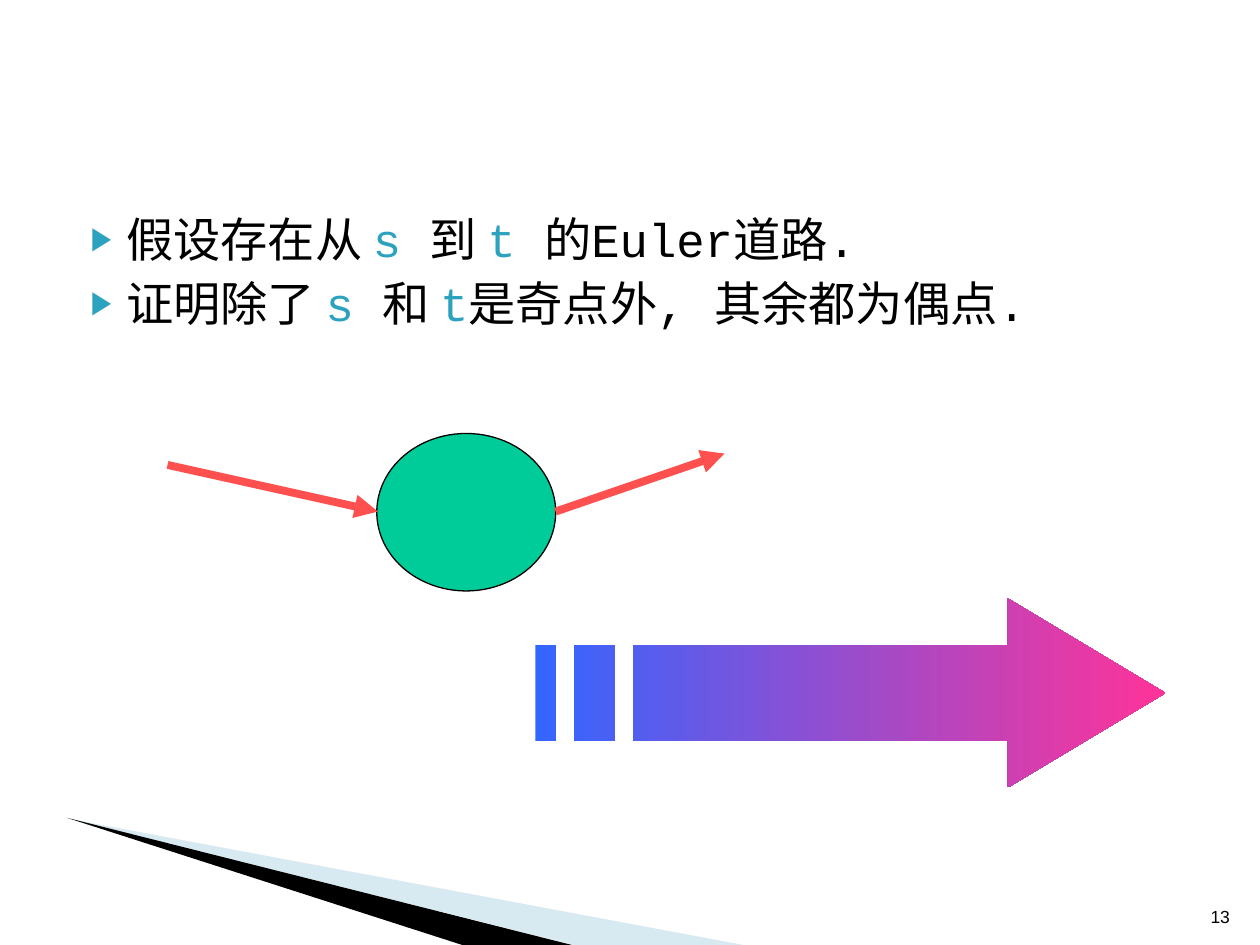
from lxml import etree
from pptx import Presentation
from pptx.dml.color import RGBColor
from pptx.enum import shapes, text
from pptx.oxml import ns
from pptx.util import Inches, Pt


def rgb(value):
    return RGBColor.from_string(value)


def freeform(s, contours):
    """Closed outline of one or more contours, with points in inches."""
    (x, y), *rest = contours[0]
    fb = s.shapes.build_freeform(Inches(x), Inches(y), scale=1.0)
    fb.add_line_segments([(Inches(a), Inches(b)) for a, b in rest])
    for (x, y), *rest in contours[1:]:
        fb.move_to(Inches(x), Inches(y))
        fb.add_line_segments([(Inches(a), Inches(b)) for a, b in rest])
    sp = fb.convert_to_shape()
    sp.shadow.inherit = False
    sp.line.fill.background()
    return sp


prs = Presentation()
prs.slide_width, prs.slide_height = Inches(10), Inches(7.5)
s = prs.slides.add_slide(prs.slide_layouts[1])
title = s.shapes.title._element
title.getparent().remove(title)

# Corner wedges
wedges = [
    ("9FCBDC", 40, [(0.55, 6.5), (5.9, 7.5), (4.56, 7.5)]),
    ("000000", 100, [(0.53, 6.49), (4.54, 7.5), (3.67, 7.5)]),
]
for color, opacity, points in wedges:
    sp = freeform(s, [points])
    sp.fill.solid()
    sp.fill.fore_color.rgb = rgb(color)
    if opacity < 100:
        clr = sp._element.spPr.find(".//" + ns.qn("a:srgbClr"))
        etree.SubElement(clr, ns.qn("a:alpha"), val=str(opacity * 1000))

# Slide number
sp = s.shapes.add_textbox(Inches(9.46), Inches(7.01), Inches(0.4), Inches(0.4))
tf = sp.text_frame
tf.word_wrap = True
tf.vertical_anchor = text.MSO_ANCHOR.BOTTOM
tf.text = "13"
p = tf.paragraphs[0]
p.alignment = text.PP_ALIGN.RIGHT
r = p.runs[0]
r.font.name, r.font.size = "Arial", Pt(10)
r.font.color.rgb = rgb("000000")

# Bulleted statements: black and teal runs alternate
statements = [
    ["假设存在从 ", "s ", "到 ", "t ", "的Euler道路."],
    ["证明除了 ", "s ", "和 ", "t", "是奇点外, 其余都为偶点."],
]
body = s.placeholders[1]
body.left, body.top = Inches(0.5), Inches(1.62)
body.width, body.height = Inches(9), Inches(4.95)
tf = body.text_frame
for i, parts in enumerate(statements):
    p = tf.add_paragraph() if i else tf.paragraphs[0]
    pPr = p._p.get_or_add_pPr()
    pPr.set("marL", str(Inches(0.4)))
    pPr.set("indent", str(Inches(-0.28)))
    color = etree.SubElement(pPr, ns.qn("a:buClr"))
    etree.SubElement(color, ns.qn("a:srgbClr"), val="2DA2BF")
    etree.SubElement(pPr, ns.qn("a:buSzPct"), val="68000")
    etree.SubElement(pPr, ns.qn("a:buChar"), char="▶")
    p.space_before = Pt(4 if i else 0)
    for j, part in enumerate(parts):
        r = p.add_run()
        r.text = part
        r.font.name, r.font.size = "Courier New", Pt(27)
        r.font.color.rgb = rgb("2DA2BF" if j % 2 else "000000")

# Striped gradient arrow
top, bottom = 5.12, 5.88
stripes = [
    [(x1, top), (x1, bottom), (x2, bottom), (x2, top)]
    for x1, x2 in [(4.56, 4.88), (4.25, 4.41)]
]
arrow = [(8, 4.75), (8, top), (5.03, top), (5.03, bottom),
         (8, bottom), (8, 6.25), (9.25, 5.5)]
sp = freeform(s, [arrow] + stripes)
sp.fill.gradient()
sp.fill.gradient_angle = 0
for stop, color in zip(sp.fill.gradient_stops, ["3366FF", "FF3399"]):
    stop.color.rgb = rgb(color)

# Vertex
sp = s.shapes.add_shape(shapes.MSO_SHAPE.OVAL, Inches(2.99), Inches(3.44),
                        Inches(1.42), Inches(1.25))
sp.shadow.inherit = False
sp.fill.solid()
sp.fill.fore_color.rgb = rgb("00CC99")
sp.line.color.rgb = rgb("000000")
sp.line.width = Pt(0.75)

# Edges entering and leaving the vertex
for ends in [(1.33, 3.69, 3, 4.06), (4.41, 4.06, 5.75, 3.6)]:
    edge = s.shapes.add_connector(shapes.MSO_CONNECTOR.STRAIGHT,
                                  *[Inches(v) for v in ends])
    edge.line.color.rgb = rgb("FF5050")
    edge.line.width = Pt(4.5)
    etree.SubElement(edge.line._get_or_add_ln(), ns.qn("a:tailEnd"), type="triangle")
    etree.SubElement(edge._element.spPr, ns.qn("a:effectLst"))

prs.save("out.pptx")
